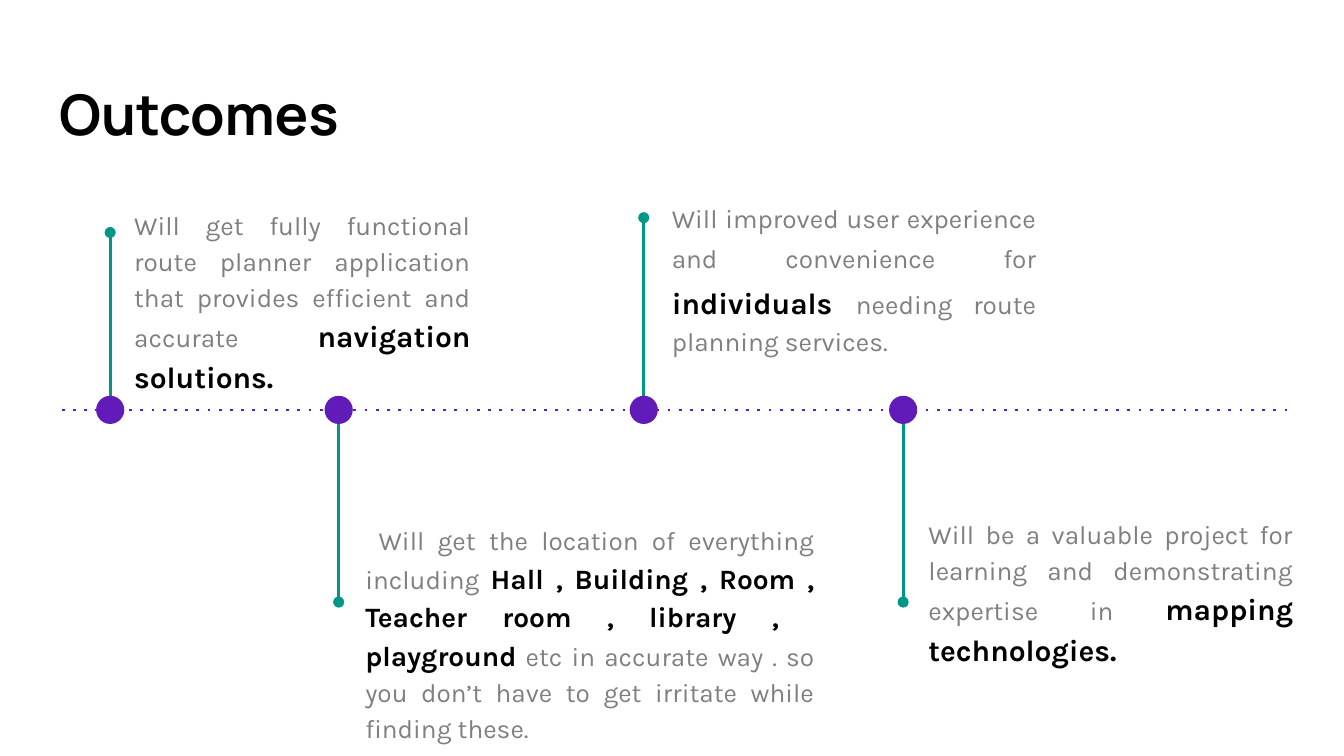
from dataclasses import dataclass

from lxml import etree
from pptx import Presentation
from pptx.dml.color import RGBColor
from pptx.enum import dml, shapes, text
from pptx.oxml.ns import qn
from pptx.util import Inches, Pt

PURPLE = RGBColor(0x61, 0x1B, 0xB8)
TEAL = RGBColor(0x00, 0x96, 0x88)
GREY = RGBColor(0x7F, 0x7F, 0x7F)
BLACK = RGBColor(0x00, 0x00, 0x00)

AXIS_Y = 3.05
DOT = 0.21


@dataclass
class Run:
    text: str
    size: int = 14
    color: RGBColor = GREY
    bold: bool = False


@dataclass
class Outcome:
    x: float
    stem_end: float
    box: tuple[float, float, float, float]
    runs: list[Run]
    space_after: int = 16


def strong(words: str, size: int = 16) -> Run:
    return Run(words, size, BLACK, True)


OUTCOMES = [
    Outcome(0.82, 1.73, (0.9, 1.42, 2.7, 1.23), [
        Run("Will get fully functional route planner application that provides "
            "efficient and accurate "),
        strong("navigation solutions."),
    ]),
    Outcome(2.52, 4.48, (2.62, 3.77, 3.54, 1.62), [
        Run(" Will get the location of everything including "),
        strong("Hall , Building , Room , Teacher room , library ,  playground", 15),
        Run(" etc in accurate way . so you don’t have to get irritate while "
            "finding these."),
    ], 0),
    Outcome(4.79, 1.62, (4.9, 1.37, 2.91, 1.48), [
        Run("Will improved user experience and convenience for"),
        Run(" ", 16),
        strong("individuals"),
        strong(" ", 18),
        Run("needing route planning services."),
    ]),
    Outcome(6.72, 4.48, (6.81, 3.72, 2.91, 1.43), [
        Run("Will be a valuable project for learning and demonstrating "
            "expertise in "),
        strong("mapping technologies."),
    ]),
]


def set_frame(tf) -> None:
    tf.word_wrap = True
    tf.auto_size = text.MSO_AUTO_SIZE.NONE
    tf.margin_left = tf.margin_right = Inches(0.1)
    tf.margin_top = tf.margin_bottom = Inches(0.1)


def add_line(s, x1: float, y1: float, x2: float, y2: float, color: RGBColor):
    line = s.shapes.add_connector(shapes.MSO_CONNECTOR.STRAIGHT, Inches(x1),
                                  Inches(y1), Inches(x2), Inches(y2))
    line.line.color.rgb = color
    line.line.width = Pt(1.5)
    etree.SubElement(line._element.spPr, qn("a:effectLst"))
    return line


def add_marker(s, o: Outcome) -> None:
    """Stem with an oval end, and a dot on the axis."""
    side = -1 if o.stem_end < AXIS_Y else 1
    stem = add_line(s, o.x, AXIS_Y + side * DOT / 2, o.x, o.stem_end, TEAL)
    etree.SubElement(stem.line._get_or_add_ln(), qn("a:tailEnd"), type="oval")

    dot = s.shapes.add_shape(shapes.MSO_SHAPE.OVAL, Inches(o.x - DOT / 2),
                             Inches(AXIS_Y - DOT / 2), Inches(DOT), Inches(DOT))
    dot.shadow.inherit = False
    dot.fill.solid()
    dot.fill.fore_color.rgb = PURPLE
    dot.line.fill.background()


def add_description(s, o: Outcome) -> None:
    tf = s.shapes.add_textbox(*(Inches(v) for v in o.box)).text_frame
    set_frame(tf)
    p = tf.paragraphs[0]
    p.alignment = text.PP_ALIGN.JUSTIFY
    p.line_spacing = 1.15
    p.space_after = Pt(o.space_after)
    for run in o.runs:
        r = p.add_run()
        r.text = run.text
        r.font.name = "Karla"
        r.font.size = Pt(run.size)
        r.font.bold = run.bold
        r.font.color.rgb = run.color


def add_title(s, words: str) -> None:
    title = s.shapes.title
    title.left, title.top = Inches(0.34), Inches(0.49)
    title.width, title.height = Inches(9.32), Inches(0.68)
    tf = title.text_frame
    set_frame(tf)
    tf.vertical_anchor = text.MSO_ANCHOR.TOP
    p = tf.paragraphs[0]
    p.text = words
    p.alignment = text.PP_ALIGN.LEFT
    p.font.name = "Manrope"
    p.font.size = Pt(30)
    p.font.bold = True
    p.font.color.rgb = BLACK


def main() -> None:
    prs = Presentation()
    # Widescreen, 16:9
    prs.slide_width, prs.slide_height = Inches(10), Inches(10 * 9 / 16)
    s = prs.slides.add_slide(prs.slide_layouts[5])
    add_title(s, "Outcomes")

    # Dotted time axis
    axis = add_line(s, 0.46, AXIS_Y, 9.58, AXIS_Y, PURPLE)
    axis.line.dash_style = dml.MSO_LINE.ROUND_DOT
    axis.line._get_or_add_ln().find(qn("a:prstDash")).set("val", "dot")

    # Outcomes along the axis
    for o in OUTCOMES:
        add_marker(s, o)
        add_description(s, o)

    prs.save("out.pptx")


if __name__ == "__main__":
    main()
